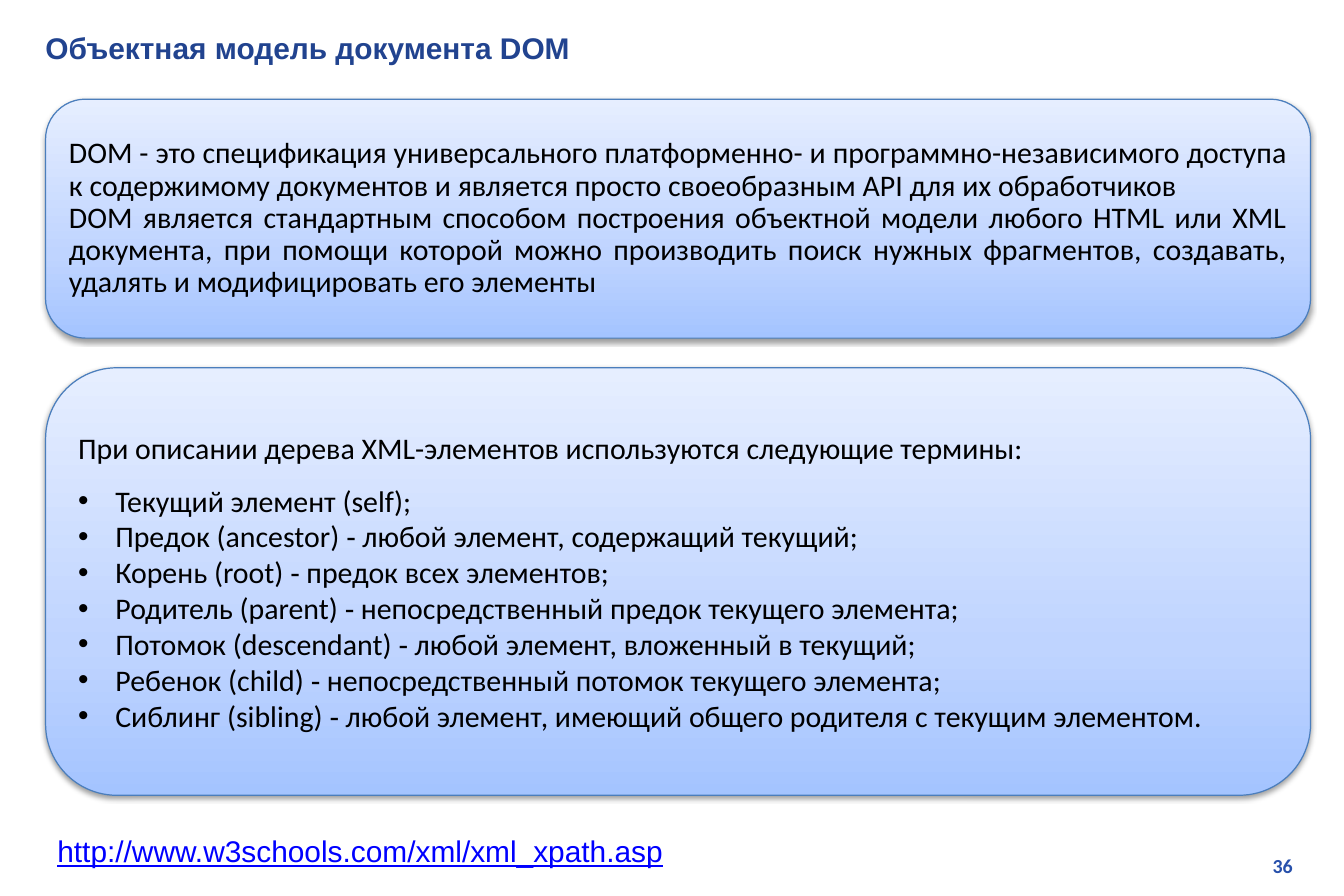
from dataclasses import dataclass

from lxml.etree import SubElement
from pptx import Presentation
from pptx.dml.color import RGBColor
from pptx.enum.shapes import MSO_SHAPE as Shape
from pptx.enum.text import MSO_ANCHOR as Anchor, MSO_AUTO_SIZE as AutoSize, PP_ALIGN as Align
from pptx.oxml.ns import qn
from pptx.util import Cm, Pt


@dataclass(frozen=True)
class Theme:
    heading_font: str = "Arial"
    body_font: str = "Calibri"
    title: str = "21438F"
    number: str = "2750AB"
    text: str = "000000"
    link: str = "0000FF"
    outline: str = "4B7EBC"
    shadow: str = "000000"
    gradient: tuple = ((0, "A4C4FF"), (35, "BFD4FF"), (100, "E6EEFF"))
    text_size: int = 18
    number_size: int = 12


def write(para, text, font, size, color, bold=False, underline=False, align=Align.LEFT,
          line_spacing=None, space_after=None, bullet=None):
    para.alignment = align
    if line_spacing is not None:
        para.line_spacing = line_spacing
    if space_after is not None:
        para.space_after = Pt(space_after)
    if bullet:
        properties = para._p.get_or_add_pPr()
        indent = Cm(0.79)
        properties.set("marL", str(indent))
        properties.set("indent", str(-indent))
        SubElement(properties, qn("a:buFont"), typeface="Arial")
        SubElement(properties, qn("a:buChar"), char=bullet)
    span = para.add_run()
    span.text = text
    span.font.name = font
    span.font.size = Pt(size)
    span.font.bold = bold
    span.font.underline = underline
    span.font.color.rgb = RGBColor.from_string(color)


class SlideBuilder:
    def __init__(self, deck, theme):
        self.theme = theme
        self.slide = deck.slides.add_slide(deck.slide_layouts[5])

    def title(self, text, left, top, width, height):
        box = self.slide.shapes.title
        box.left, box.top, box.width, box.height = map(Cm, (left, top, width, height))
        frame = box.text_frame
        frame.auto_size = AutoSize.NONE
        frame.vertical_anchor = Anchor.MIDDLE
        write(frame.paragraphs[0], text, self.theme.heading_font, self.theme.text_size,
              self.theme.title, bold=True)

    def label(self, text, left, top, width, height, wrap=True, **style):
        box = self.slide.shapes.add_textbox(*map(Cm, (left, top, width, height)))
        box.text_frame.word_wrap = wrap
        write(box.text_frame.paragraphs[0], text, **style)

    def panel(self, paragraphs, left, top, width, height):
        box = self.slide.shapes.add_shape(Shape.ROUNDED_RECTANGLE,
                                          *map(Cm, (left, top, width, height)))
        box.line.color.rgb = RGBColor.from_string(self.theme.outline)
        box.line.width = Pt(0.75)
        self.shade(box)
        self.drop_shadow(box)
        frame = box.text_frame
        frame.word_wrap = True
        frame.vertical_anchor = Anchor.MIDDLE
        for index, (text, style) in enumerate(paragraphs):
            para = frame.add_paragraph() if index else frame.paragraphs[0]
            write(para, text, self.theme.body_font, self.theme.text_size,
                  self.theme.text, **style)

    def shade(self, box):
        box.fill.gradient()
        box.fill.gradient_angle = 90
        stops = box.element.spPr.find(qn("a:gradFill")).find(qn("a:gsLst"))
        for stop in list(stops):
            stops.remove(stop)
        for position, color in self.theme.gradient:
            stop = SubElement(stops, qn("a:gs"), pos=str(position * 1000))
            SubElement(stop, qn("a:srgbClr"), val=color)

    def drop_shadow(self, box):
        box.shadow.inherit = False
        effects = box.element.spPr.find(qn("a:effectLst"))
        shadow = SubElement(effects, qn("a:outerShdw"), blurRad=str(Pt(3.1)),
                            dist=str(Pt(1.6)), dir="5400000", rotWithShape="0")
        color = SubElement(shadow, qn("a:srgbClr"), val=self.theme.shadow)
        SubElement(color, qn("a:alpha"), val="38000")


def main():
    deck = Presentation()
    deck.slide_width, deck.slide_height = Cm(28.58), Cm(19.05)
    theme = Theme()
    page = SlideBuilder(deck, theme)
    left, width = 0.97, 26.9

    definitions = [
        "DOM - это спецификация универсального платформенно- и программно-независимого "
        "доступа к содержимому документов и является просто своеобразным API для их "
        "обработчиков",
        "DOM является стандартным способом построения объектной модели любого HTML или XML "
        "документа, при помощи которой можно производить поиск нужных фрагментов, создавать, "
        "удалять и модифицировать его элементы",
    ]
    intro = "При описании дерева XML-элементов используются следующие термины:"
    terms = [
        "Текущий элемент (self);",
        "Предок (ancestor) ‑ любой элемент, содержащий текущий;",
        "Корень (root) ‑ предок всех элементов;",
        "Родитель (parent) ‑ непосредственный предок текущего элемента;",
        "Потомок (descendant) ‑ любой элемент, вложенный в текущий;",
        "Ребенок (child) ‑ непосредственный потомок текущего элемента;",
        "Сиблинг (sibling) ‑ любой элемент, имеющий общего родителя с текущим элементом.",
    ]

    page.title("Объектная модель документа DOM", 0.71, 0.51, 27.28, 1.02)
    justified = dict(align=Align.JUSTIFY, line_spacing=0.9)
    page.panel([(text, justified) for text in definitions], left, 2.11, width, 5.08)
    page.panel([(intro, dict(space_after=10))] + [(term, dict(bullet="•")) for term in terms],
               left, 7.82, width, 9.09)
    page.label("http://www.w3schools.com/xml/xml_xpath.asp", left, 17.58, 13.51, 1.02,
               wrap=False, font=theme.heading_font, size=theme.text_size,
               color=theme.link, underline=True)
    page.label("36", 21.69, 18.03, 6.05, 0.76, font=theme.body_font,
               size=theme.number_size, color=theme.number, bold=True, align=Align.RIGHT)
    deck.save("out.pptx")


if __name__ == "__main__":
    main()
